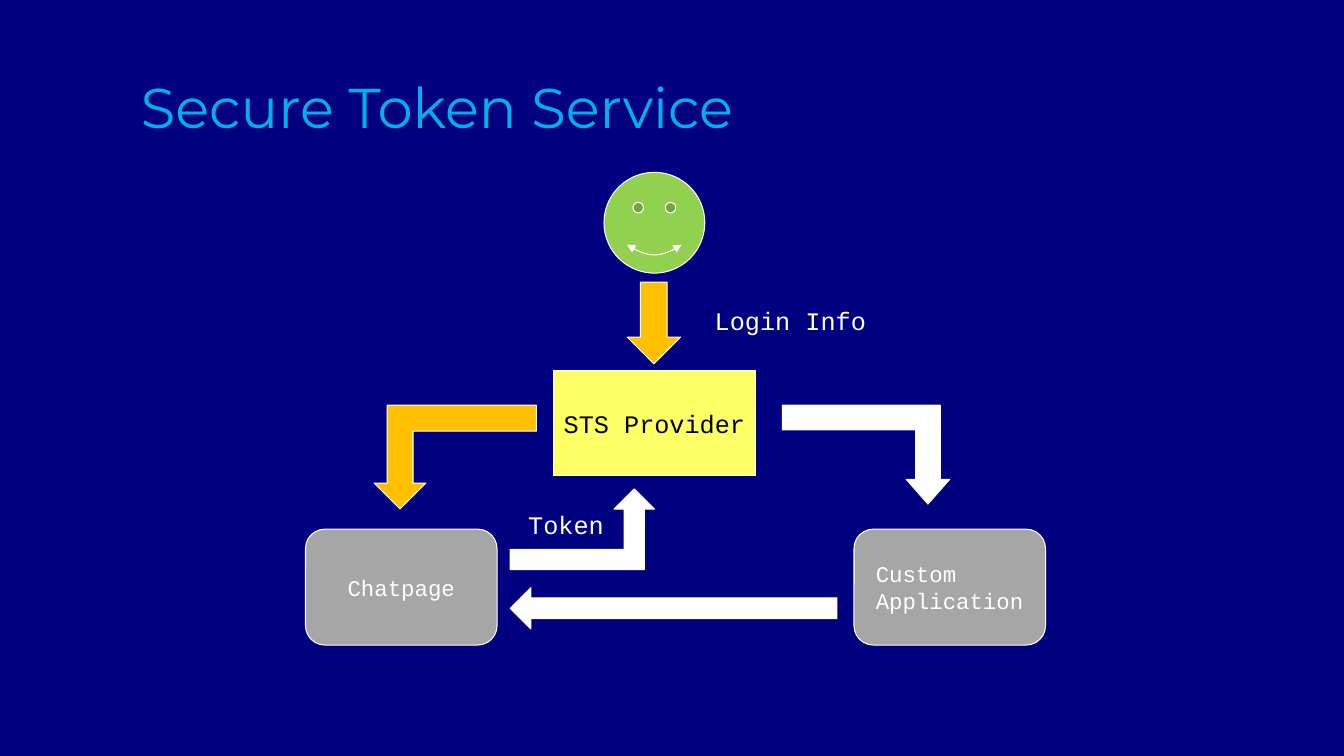
import pptx
import pptx.util
import pptx.dml.color
import pptx.enum.shapes
import pptx.enum.text
import pptx.oxml.ns
import lxml.etree

SHAPE = pptx.enum.shapes.MSO_SHAPE
ALIGN = pptx.enum.text.PP_ALIGN
ANCHOR = pptx.enum.text.MSO_ANCHOR
qn = pptx.oxml.ns.qn

WIDTH, HEIGHT = pptx.util.Inches(13.33), pptx.util.Inches(7.5)
COLORS = {
    "navy": "000080", "sky": "00B0EB", "white": "FFFFFF", "black": "000000",
    "green": "92D050", "yellow": "FFFF66", "grey": "A6A6A6", "amber": "FFC000",
}


def rgb(name):
    return pptx.dml.color.RGBColor.from_string(COLORS[name])


def place(left, top, width, height):
    """Turn percentages of the slide's size into lengths."""
    return [round(share * side / 100) for share, side in
            zip((left, top, width, height), (WIDTH, HEIGHT) * 2)]


def write(s, text, size, color, font="Courier New", align=ALIGN.LEFT, **frame):
    tf = s.text_frame
    for name, value in frame.items():
        setattr(tf, name, value)
    p = tf.paragraphs[0]
    p.alignment = align
    r = p.add_run()
    r.text = text
    for name, value in {"name": font, "size": pptx.util.Pt(size)}.items():
        setattr(r.font, name, value)
    r.font.color.rgb = rgb(color)


def add_label(slide, box, text, size, color, **style):
    write(slide.shapes.add_textbox(*place(*box)), text, size, color, **style)


def add_figure(slide, kind, box, fill, rotation=0, flip=False, adjust=()):
    s = slide.shapes.add_shape(kind, *place(*box))
    s.shadow.inherit = False
    s.fill.solid()
    s.fill.fore_color.rgb = rgb(fill)
    s.line.color.rgb = rgb("white")
    s.line.width = pptx.util.Pt(0.75)
    s.rotation = rotation
    if flip:
        s._element.spPr.find(qn("a:xfrm")).set("flipH", "1")
    for i, value in enumerate(adjust):
        s.adjustments[i] = value
    return s


def add_box(slide, kind, box, fill, text, size, color, **style):
    s = add_figure(slide, kind, box, fill)
    write(s, text, size, color, vertical_anchor=ANCHOR.MIDDLE, **style)


def add_arrowheads(s):
    line = s._element.spPr.find(qn("a:ln"))
    for end in ("a:headEnd", "a:tailEnd"):
        lxml.etree.SubElement(line, qn(end)).set("type", "triangle")


def main():
    prs = pptx.Presentation()
    prs.slide_width, prs.slide_height = WIDTH, HEIGHT
    slide = prs.slides.add_slide(prs.slide_layouts[6])
    slide.background.fill.solid()
    slide.background.fill.fore_color.rgb = rgb("navy")

    # Title
    add_label(slide, (9.75, 1.87, 80.65, 17.33), "Secure Token Service", 40, "sky",
              font="Montserrat", word_wrap=True, vertical_anchor=ANCHOR.BOTTOM)

    # User
    user = add_figure(slide, SHAPE.SMILEY_FACE, (44.94, 22.8, 7.5, 13.33), "green")
    add_arrowheads(user)

    # Provider and the two applications
    add_box(slide, SHAPE.RECTANGLE, (41.19, 49.07, 15, 13.87), "yellow",
            "STS Provider", 18, "black", align=ALIGN.CENTER, word_wrap=False)
    apps = [
        (22.73, "Chatpage", {"align": ALIGN.CENTER}),
        (63.54, "Custom Application", {"margin_left": pptx.util.Inches(0.16),
                                       "margin_right": pptx.util.Inches(0.05)}),
    ]
    for left, text, style in apps:
        add_box(slide, SHAPE.ROUNDED_RECTANGLE, (left, 70, 14.25, 15.33), "grey",
                text, 16, "white", word_wrap=True, **style)

    # Arrows
    bent = SHAPE.BENT_UP_ARROW
    add_figure(slide, SHAPE.DOWN_ARROW, (46.66, 37.33, 3.98, 10.8), "amber")
    add_figure(slide, bent, (27.83, 53.6, 12.08, 13.73), "amber", rotation=180)
    add_figure(slide, bent, (37.96, 64.67, 10.73, 10.67), "white")
    add_figure(slide, bent, (58.21, 53.6, 12.45, 13.07), "white", rotation=180,
               flip=True, adjust=(0.25, 0.22, 0.25))
    add_figure(slide, SHAPE.LEFT_ARROW, (37.96, 77.73, 24.31, 5.47), "white")

    # Arrow labels
    add_label(slide, (52.44, 39.73, 12.98, 5.33), "Login Info", 18, "white",
              word_wrap=False)
    add_label(slide, (38.56, 66.67, 7.2, 5.33), "Token", 18, "white",
              word_wrap=False)

    prs.save("out.pptx")


if __name__ == "__main__":
    main()
